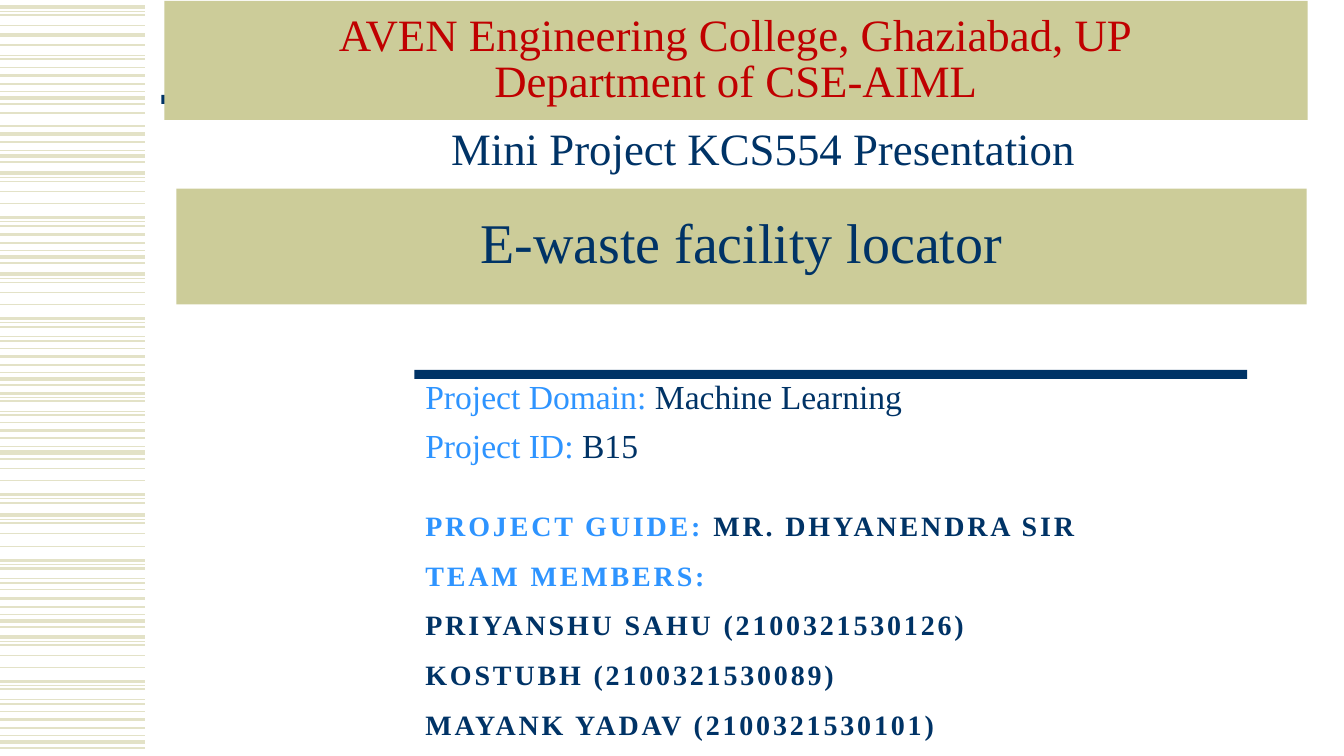
from lxml.etree import SubElement
from pptx import Presentation
from pptx.dml.color import RGBColor
from pptx.enum.shapes import MSO_CONNECTOR as LINE, MSO_SHAPE as SHAPE
from pptx.enum.text import MSO_ANCHOR as ANCHOR, MSO_AUTO_SIZE as FIT, PP_ALIGN as ALIGN
from pptx.oxml.ns import qn
from pptx.util import Inches, Pt

NAVY, SKY, RED, KHAKI, PALE = "003366", "2E94FF", "C00000", "CCCC99", "E3E2C7"


def paint(colour_format, colour):
    colour_format.rgb = RGBColor.from_string(colour)


def write(shape, lines, size, paragraph_format, anchor=ANCHOR.TOP, bold=False, tracking=0):
    """Fill a shape with lines, each a list of (text, colour) runs."""
    frame = shape.text_frame
    frame.word_wrap = True
    frame.auto_size = FIT.NONE
    frame.vertical_anchor = anchor
    for number, runs in enumerate(lines):
        paragraph = frame.add_paragraph() if number else frame.paragraphs[0]
        for name, value in paragraph_format.items():
            setattr(paragraph, name, value)
        for text, colour in runs:
            run = paragraph.add_run()
            run.text = text
            run.font.name = "Times New Roman"
            run.font.size = Pt(size)
            run.font.bold = bold
            paint(run.font.color, colour)
            if tracking:
                run._r.get_or_add_rPr().set("spc", str(tracking * 100))


deck = Presentation()
deck.slide_width, deck.slide_height = Inches(13.33), Inches(7.5)
slide = deck.slides.add_slide(deck.slide_layouts[0])
shapes = slide.shapes

# Striped left margin: each cluster is (tops, [(offset, weight), ...])
stripe_clusters = [
    ([0.75, 1.33, 2.33, 3.54, 4.27, 5.94, 7.14],
     [(0, 2.25), (0.08, 1.5), (0.16, 0.75), (0.22, 3), (0.28, 1.5)]),
    ([0.07, 1.72, 2.72, 5.11, 6.32], [(0, 3), (0.04, 0.75), (0.08, 1), (0.18, 1)]),
    ([2.16, 3.16, 3.9, 4.91, 5.56, 6.76], [(0, 2.25), (0.04, 0.75), (0.08, 1.5)]),
    ([0.55, 3.34, 4.08, 5.74, 6.94], [(0, 0.75), (0.04, 1.5)]),
    ([0.67, 1.12, 1.25, 2.02, 3.02, 3.46, 4.19, 4.65, 4.77, 5.42, 5.85, 6.62, 7.06],
     [(0, 1)]),
    ([0.35], [(0, 3), (0.1, 1.5)]),
]
for tops, stripes in stripe_clusters:
    for top in tops:
        for offset, weight in stripes:
            y = Inches(top + offset)
            stripe = shapes.add_connector(LINE.STRAIGHT, 0, y, Inches(1.44), y)
            paint(stripe.line.color, PALE)
            stripe.line.width = Pt(weight)
            SubElement(stripe._element.spPr, qn("a:effectLst"))

# Navy rules and the college band
blocks = []
for left, top, width, height, colour in [
    (4.11, 3.67, 8.26, 0.09, NAVY),
    (1.6, 0.94, 8.26, 0.09, NAVY),
    (1.63, 0.01, 11.34, 1.18, KHAKI),
]:
    block = shapes.add_shape(SHAPE.RECTANGLE, Inches(left), Inches(top),
                             Inches(width), Inches(height))
    block.shadow.inherit = False
    block.fill.solid()
    paint(block.fill.fore_color, colour)
    block.line.fill.background()
    blocks.append(block)
college_band = blocks[-1]

heading_format = {"alignment": ALIGN.CENTER, "line_spacing": 0.85}
write(college_band,
      [[("AVEN Engineering College, Ghaziabad, UP", RED)], [("Department of CSE-AIML", RED)]],
      32, heading_format, ANCHOR.MIDDLE)

# Project title and occasion
project_title, occasion = shapes.title, slide.placeholders[1]
for holder, box in [(project_title, (1.75, 1.87, 11.21, 1.15)),
                    (occasion, (2.94, 1.15, 9.26, 0.75))]:
    holder.left, holder.top, holder.width, holder.height = map(Inches, box)
project_title.fill.solid()
paint(project_title.fill.fore_color, KHAKI)
write(project_title, [[("E-waste facility locator", NAVY)]], 40, heading_format, ANCHOR.MIDDLE)
write(occasion, [[("Mini Project KCS554 Presentation", NAVY)]], 32,
      {"alignment": ALIGN.CENTER, "space_before": Pt(7)})

# Project details
details = shapes.add_textbox(Inches(4.12), Inches(3.68), Inches(8.44), Inches(0.92))
write(details,
      [[("Project Domain:", SKY), (" Machine Learning", NAVY)],
       [("Project ID: ", SKY), ("B15", NAVY)]],
      24, {"space_before": Pt(6)})

# Guide and team
team = shapes.add_textbox(Inches(4.12), Inches(5.03), Inches(7.88), Inches(2.38))
write(team,
      [[("PROJECT GUIDE:", SKY), (" MR. DHYANENDRA SIR", NAVY)],
       [("TEAM MEMBERS:", SKY)],
       [("PRIYANSHU SAHU (2100321530126)", NAVY)],
       [("KOSTUBH (2100321530089)", NAVY)],
       [("MAYANK YADAV (2100321530101)", NAVY)]],
      20, {"line_spacing": 0.9, "space_before": Pt(12), "space_after": Pt(2)},
      bold=True, tracking=2)

deck.save("out.pptx")
